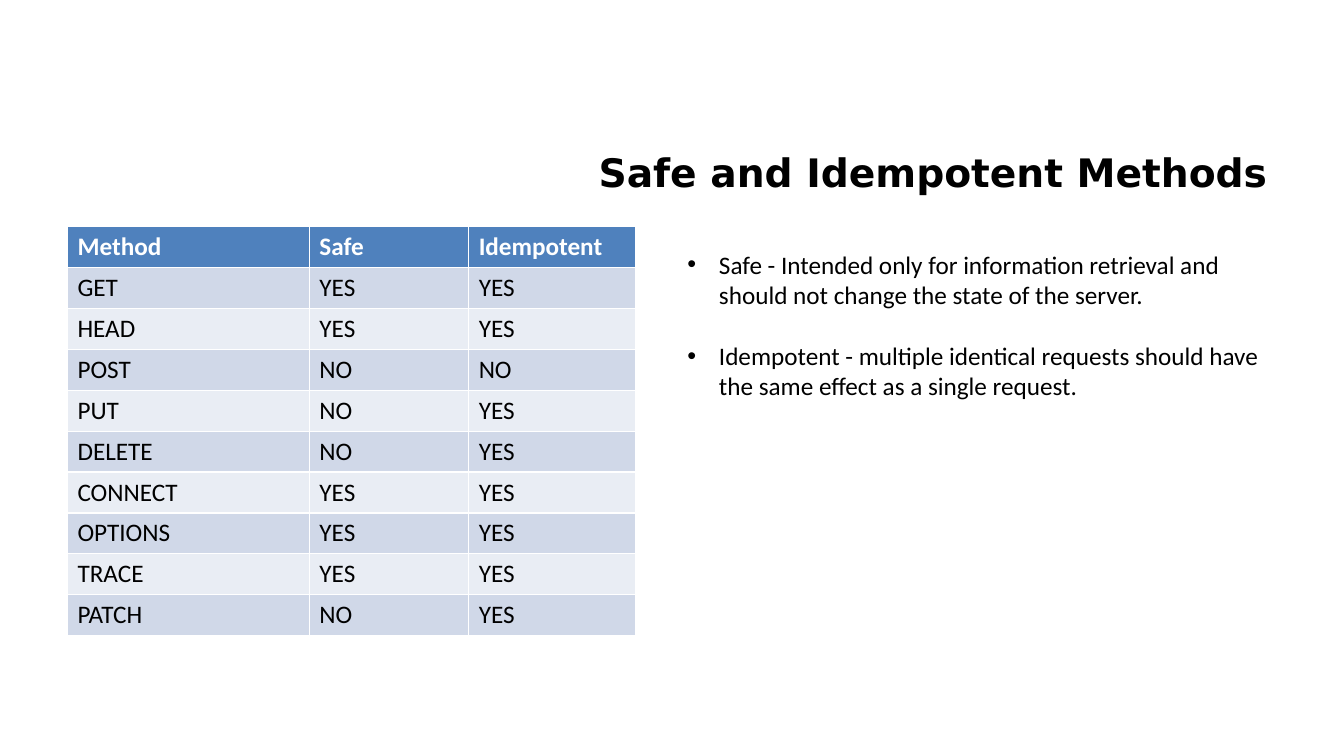
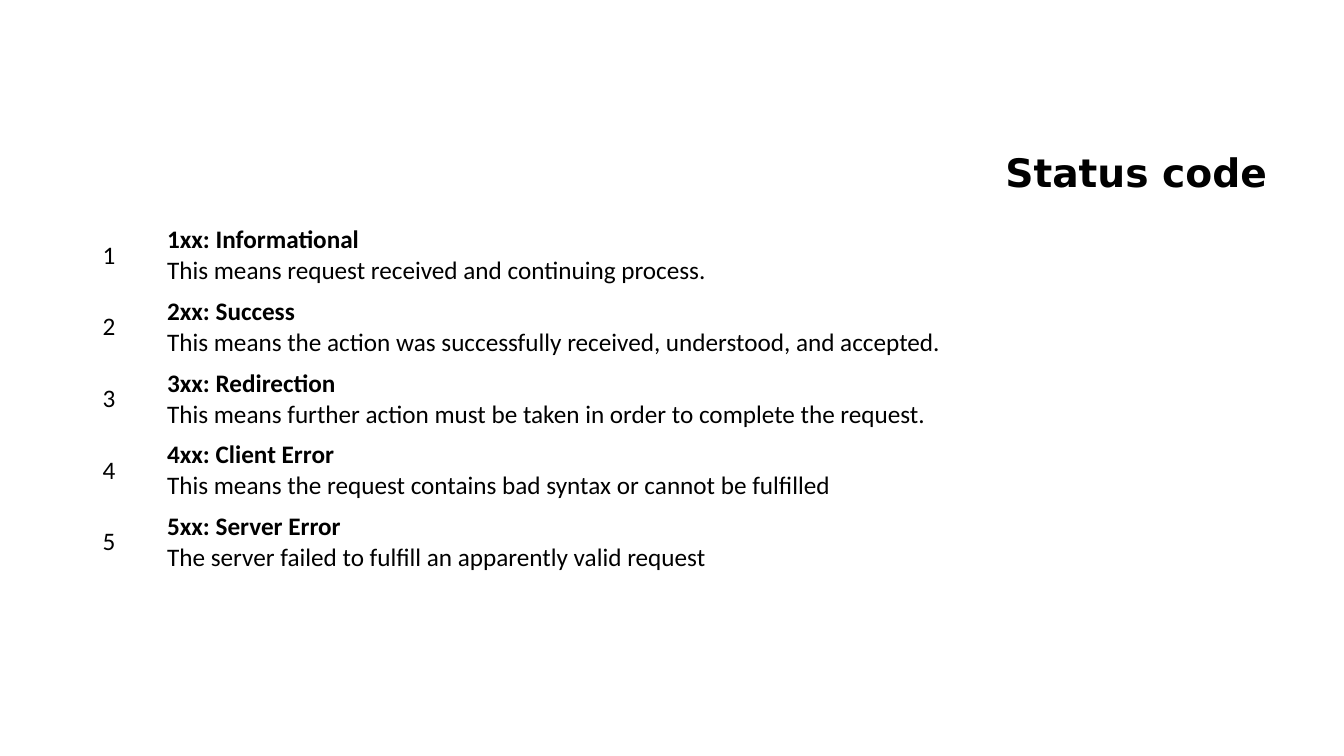
"""Builds two slides on HTTP: safe and idempotent methods, and status codes."""
from lxml import etree
from pptx import Presentation
from pptx.dml.color import RGBColor
from pptx.enum.text import MSO_ANCHOR, PP_ALIGN
from pptx.oxml.ns import qn
from pptx.util import Pt

BLACK = RGBColor(0x00, 0x00, 0x00)
WHITE = RGBColor(0xFF, 0xFF, 0xFF)
HEADER_BLUE = RGBColor(0x4F, 0x81, 0xBD)
BAND_DARK = RGBColor(0xD0, 0xD8, 0xE8)
BAND_LIGHT = RGBColor(0xE9, 0xED, 0xF4)
MIDDLE = MSO_ANCHOR.MIDDLE
RIGHT = PP_ALIGN.RIGHT
PLAIN_TABLE_STYLE = "{2D5ABB26-0587-4C30-8999-92F81FD0307C}"

TITLE = {"name": "DejaVu Sans", "size": Pt(28), "bold": True}
BODY = {"name": "Calibri", "size": Pt(18), "bold": False}
STRONG = {**BODY, "bold": True}

METHODS = [
    ("Method", "Safe", "Idempotent"),
    ("GET", "YES", "YES"),
    ("HEAD", "YES", "YES"),
    ("POST", "NO", "NO"),
    ("PUT", "NO", "YES"),
    ("DELETE", "NO", "YES"),
    ("CONNECT", "YES", "YES"),
    ("OPTIONS", "YES", "YES"),
    ("TRACE", "YES", "YES"),
    ("PATCH", "NO", "YES"),
]
DEFINITIONS = [
    "Safe - Intended only for information retrieval and should not change the state of the server.",
    "Idempotent - multiple identical requests should have the same effect as a single request.",
]
STATUS_CODES = [
    ("1xx: Informational", "This means request received and continuing process."),
    ("2xx: Success", "This means the action was successfully received, understood, and accepted."),
    ("3xx: Redirection", "This means further action must be taken in order to complete the request."),
    ("4xx: Client Error", "This means the request contains bad syntax or cannot be fulfilled"),
    ("5xx: Server Error", "The server failed to fulfill an apparently valid request"),
]


def add_span(para, text, style, color=BLACK):
    span = para.add_run()
    span.text = text
    for key, value in style.items():
        setattr(span.font, key, value)
    span.font.color.rgb = color


def add_page(deck, title):
    page = deck.slides.add_slide(deck.slide_layouts[6])
    frame = page.shapes.add_textbox(Pt(208), Pt(90), Pt(704), Pt(66)).text_frame
    frame.word_wrap = True
    frame.vertical_anchor = MIDDLE
    frame.paragraphs[0].alignment = RIGHT
    add_span(frame.paragraphs[0], title, TITLE)
    return page


deck = Presentation()
deck.slide_width, deck.slide_height = Pt(960), Pt(540)

page = add_page(deck, "Safe and Idempotent Methods")
methods = page.shapes.add_table(len(METHODS), 3, Pt(48.2), Pt(162), Pt(406), Pt(292)).table
for column, width in zip(methods.columns, (172.8, 113.8, 119.4)):
    column.width = Pt(width)
for row_index, values in enumerate(METHODS):
    is_header = row_index == 0
    band = HEADER_BLUE if is_header else (BAND_LIGHT, BAND_DARK)[row_index % 2]
    for column_index, value in enumerate(values):
        cell = methods.cell(row_index, column_index)
        cell.fill.solid()
        cell.fill.fore_color.rgb = band
        add_span(cell.text_frame.paragraphs[0], value,
                 STRONG if is_header else BODY, WHITE if is_header else BLACK)

frame = page.shapes.add_textbox(Pt(484), Pt(174.4), Pt(428.2), Pt(116.6)).text_frame
frame.word_wrap = True
for index, definition in enumerate(DEFINITIONS):
    para = frame.add_paragraph() if index else frame.paragraphs[0]
    if index:
        para.space_before = Pt(22)
    properties = para._p.get_or_add_pPr()
    properties.set("marL", str(Pt(22.5)))
    properties.set("indent", str(-Pt(22.5)))
    etree.SubElement(properties, qn("a:buFont"), typeface="Arial")
    etree.SubElement(properties, qn("a:buChar"), char="•")
    add_span(para, definition, BODY)

page = add_page(deck, "Status code")
codes = page.shapes.add_table(len(STATUS_CODES), 2, Pt(66.2), Pt(157), Pt(828), Pt(256)).table
codes._tbl.tblPr.find(qn("a:tableStyleId")).text = PLAIN_TABLE_STYLE
codes.first_row = codes.horz_banding = False
for column, width in zip(codes.columns, (46, 782)):
    column.width = Pt(width)
for index, (heading, meaning) in enumerate(STATUS_CODES):
    number_cell, text_cell = codes.rows[index].cells
    for cell in (number_cell, text_cell):
        cell.fill.background()
        cell.vertical_anchor = MIDDLE
    add_span(number_cell.text_frame.paragraphs[0], str(index + 1), BODY)
    para = text_cell.text_frame.paragraphs[0]
    add_span(para, heading, STRONG)
    para.add_line_break()
    add_span(para, meaning, BODY)

deck.save("out.pptx")
